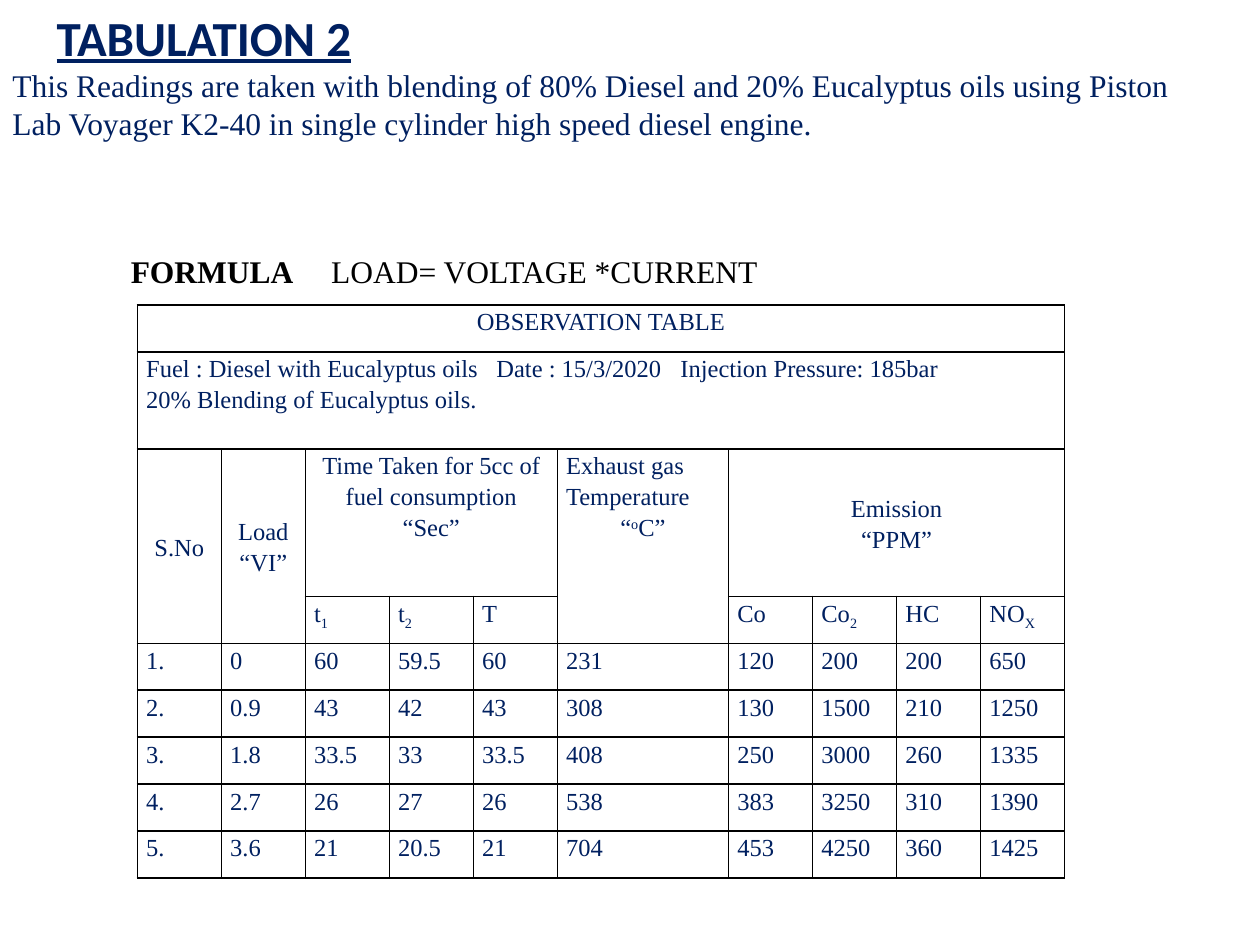
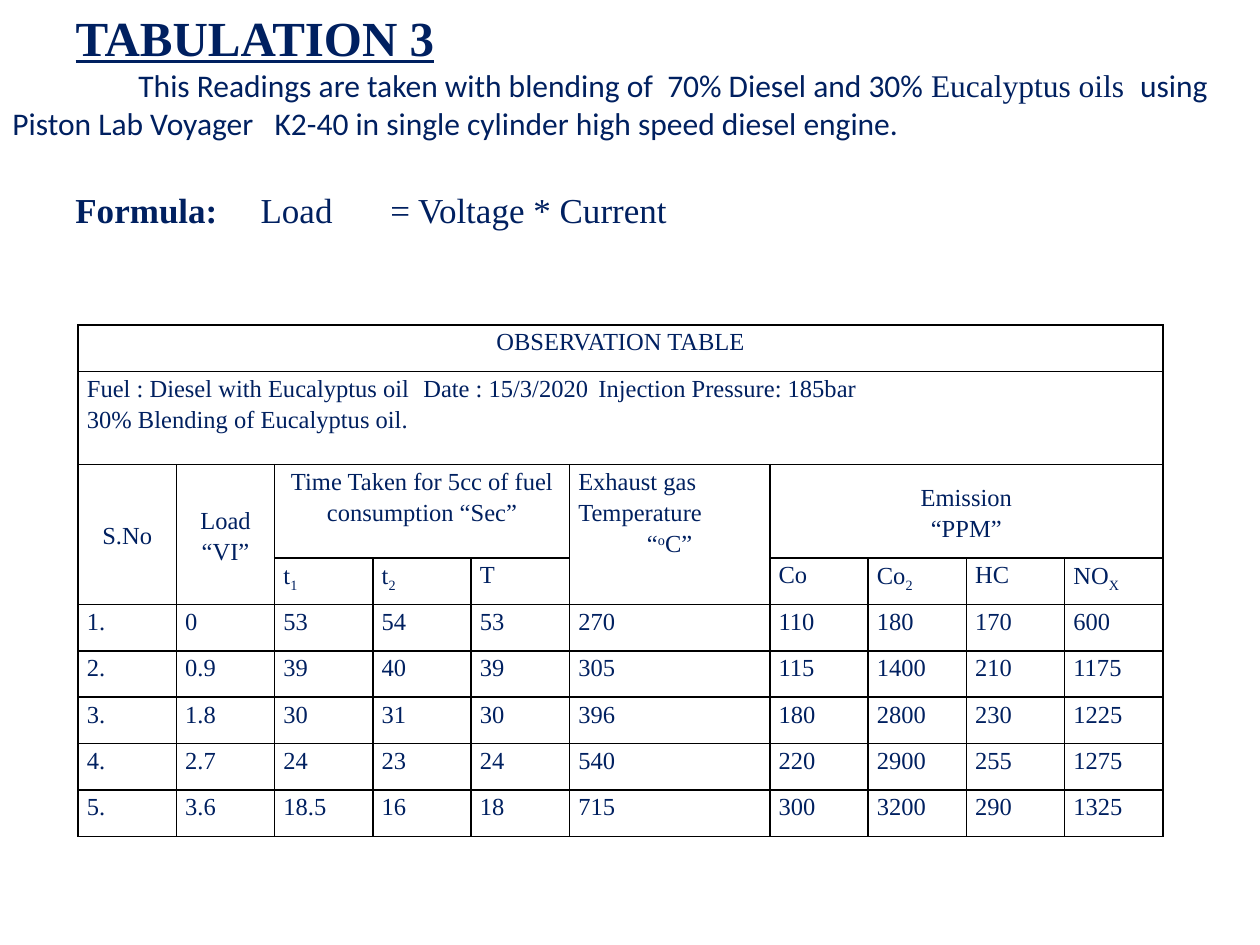
"""Build two slides of engine readings, each with a title, a formula and an observation table."""
from lxml.etree import SubElement
from pptx import Presentation
from pptx.dml.color import RGBColor
from pptx.enum.text import MSO_ANCHOR, PP_ALIGN
from pptx.oxml.ns import qn
from pptx.util import Inches, Pt

NAVY = RGBColor(0x00, 0x20, 0x60)
BLACK = RGBColor(0x00, 0x00, 0x00)
WHITE = RGBColor(0xFF, 0xFF, 0xFF)
SERIF, SANS = "Times New Roman", "Calibri"
ALIGNMENTS = {"l": PP_ALIGN.LEFT, "c": PP_ALIGN.CENTER}

SUBHEADS = ["", "", "t|1", "t|2", "T", "", "Co", "Co|2", "HC", "NO|X"]
LOADS = ["0", "0.9", "1.8", "2.7", "3.6"]
HEADERS = [
    (0, 0, 0, 9, "OBSERVATION TABLE", "c", MSO_ANCHOR.TOP),
    (2, 0, 3, 0, "S.No", "c", MSO_ANCHOR.MIDDLE),
    (2, 1, 3, 1, "Load\n“VI”", "cc", MSO_ANCHOR.MIDDLE),
    (2, 2, 2, 4, "Time Taken for 5cc of fuel consumption “Sec”", "c", MSO_ANCHOR.TOP),
    (2, 5, 3, 5, "Exhaust gas Temperature\n“|o|C”", "lc", MSO_ANCHOR.TOP),
    (2, 6, 2, 9, "Emission\n“PPM”", "cc", MSO_ANCHOR.MIDDLE),
]

TABULATIONS = [
    {
        "title": "TABULATION 2", "title_font": SANS, "title_left": 3.5,
        "intro": [("This Readings are taken with blending of 80% Diesel and 20% Eucalyptus oils "
                   "using Piston Lab Voyager K2-40 in single cylinder high speed diesel engine.",
                   SERIF)],
        "intro_indent": 0,
        "formula": ("FORMULA", "\tLOAD= VOLTAGE *CURRENT"),
        "formula_place": (9.4, 19.5), "formula_size": 18, "formula_color": BLACK,
        "formula_tabs": [1.59],
        "fuel": "Fuel : Diesel with Eucalyptus oils\tDate : 15/3/2020\tInjection Pressure: 185bar\n"
                "20% Blending of Eucalyptus oils.",
        "fuel_tabs": [2.78, 4.24],
        "table_box": (10.9, 24.2, 73.6, 45.5),
        "exhaust_width": 13.6, "fuel_height": 7.7, "header_height": 11.7,
        "readings": [
            ["60", "59.5", "60", "231", "120", "200", "200", "650"],
            ["43", "42", "43", "308", "130", "1500", "210", "1250"],
            ["33.5", "33", "33.5", "408", "250", "3000", "260", "1335"],
            ["26", "27", "26", "538", "383", "3250", "310", "1390"],
            ["21", "20.5", "21", "704", "453", "4250", "360", "1425"],
        ],
    },
    {
        "title": "TABULATION 3", "title_font": SERIF, "title_left": 5,
        "intro": [("This Readings are taken with blending of  70% Diesel and 30% ", SANS),
                  ("Eucalyptus oils  ", SERIF),
                  ("using Piston Lab Voyager   K2-40 in single cylinder high speed diesel engine.",
                   SANS)],
        "intro_indent": 1,
        "formula": ("Formula:", "\tLoad\t= Voltage * Current"),
        "formula_place": (5, 14.5), "formula_size": 20, "formula_color": NAVY,
        "formula_tabs": [1.47, 2.5],
        "fuel": "Fuel : Diesel with Eucalyptus oil\tDate : 15/3/2020\tInjection Pressure: 185bar\n"
                "30% Blending of Eucalyptus oil.",
        "fuel_tabs": [2.67, 4.06],
        "table_box": (6.2, 25.8, 86.1, 40.6),
        "exhaust_width": 15.9, "fuel_height": 7.4, "header_height": 7.4,
        "readings": [
            ["53", "54", "53", "270", "110", "180", "170", "600"],
            ["39", "40", "39", "305", "115", "1400", "210", "1175"],
            ["30", "31", "30", "396", "180", "2800", "230", "1225"],
            ["24", "23", "24", "540", "220", "2900", "255", "1275"],
            ["18.5", "16", "18", "715", "300", "3200", "290", "1325"],
        ],
    },
]


def add_run(paragraph, text, size, font_name=SERIF, color=NAVY, bold=False):
    run = paragraph.add_run()
    run.text = text
    run.font.size = Pt(size)
    run.font.name = font_name
    run.font.color.rgb = color
    run.font.bold = bold
    return run


def set_tabs(paragraph, stops):
    tab_list = SubElement(paragraph._p.get_or_add_pPr(), qn("a:tabLst"))
    for stop in stops:
        SubElement(tab_list, qn("a:tab"), pos=str(Inches(stop)), algn="l")


presentation = Presentation()
presentation.slide_width = Inches(10)
presentation.slide_height = Inches(7.5)
column = presentation.slide_width / 100
row = presentation.slide_height / 75

for tabulation in TABULATIONS:
    slide = presentation.slides.add_slide(presentation.slide_layouts[5])

    title = slide.shapes.title
    title.left, title.top = int(tabulation["title_left"] * column), 0
    title.width, title.height = int(60 * column), int(5.8 * row)
    title.text_frame.vertical_anchor = MSO_ANCHOR.MIDDLE
    paragraph = title.text_frame.paragraphs[0]
    paragraph.alignment = PP_ALIGN.LEFT
    run = add_run(paragraph, tabulation["title"], 28, tabulation["title_font"], bold=True)
    run.font.underline = True

    intro = slide.shapes.add_textbox(0, int(4.75 * row), int(97.5 * column), int(7 * row))
    intro.text_frame.word_wrap = True
    paragraph = intro.text_frame.paragraphs[0]
    paragraph._p.get_or_add_pPr().set("indent", str(Inches(tabulation["intro_indent"])))
    for text, font_name in tabulation["intro"]:
        add_run(paragraph, text, 18, font_name)

    left, top = tabulation["formula_place"]
    formula = slide.shapes.add_textbox(int(left * column), int(top * row),
                                       int(58.6 * column), int(4 * row))
    formula.text_frame.word_wrap = True
    paragraph = formula.text_frame.paragraphs[0]
    set_tabs(paragraph, tabulation["formula_tabs"])
    for text, bold in zip(tabulation["formula"], (True, False)):
        add_run(paragraph, text, tabulation["formula_size"],
                color=tabulation["formula_color"], bold=bold)

    left, top, width, height = tabulation["table_box"]
    table = slide.shapes.add_table(9, 10, int(left * column), int(top * row),
                                   int(width * column), int(height * row)).table
    table.first_row = table.horz_banding = False
    exhaust_width = tabulation["exhaust_width"]
    for index, table_column in enumerate(table.columns):
        share = exhaust_width if index == 5 else (width - exhaust_width) / 9
        table_column.width = int(share * column)
    tall_rows = {1: tabulation["fuel_height"], 2: tabulation["header_height"]}
    for index, table_row in enumerate(table.rows):
        share = tall_rows.get(index, (height - sum(tall_rows.values())) / 7)
        table_row.height = int(share * row)

    for cell in table.iter_cells():
        cell.margin_left = cell.margin_right = Inches(0.07)
        cell.margin_top = cell.margin_bottom = 0
        properties = cell._tc.get_or_add_tcPr()
        for side in ("a:lnL", "a:lnR", "a:lnT", "a:lnB"):
            line = SubElement(properties, qn(side), w=str(Pt(1)))
            SubElement(SubElement(line, qn("a:solidFill")), qn("a:srgbClr"), val=str(BLACK))
        cell.fill.solid()
        cell.fill.fore_color.rgb = WHITE

    entries = HEADERS + [(1, 0, 1, 9, tabulation["fuel"], "ll", MSO_ANCHOR.TOP)]
    body = [SUBHEADS]
    for number, (load, values) in enumerate(zip(LOADS, tabulation["readings"]), start=1):
        body.append([f"{number}.", load, *values])
    for row_index, texts in enumerate(body, start=3):
        for column_index, text in enumerate(texts):
            if text:
                entries.append((row_index, column_index, row_index, column_index,
                                text, "l", MSO_ANCHOR.TOP))

    for first_row, first_column, last_row, last_column, text, alignments, anchor in entries:
        cell = table.cell(first_row, first_column)
        if (first_row, first_column) != (last_row, last_column):
            cell.merge(table.cell(last_row, last_column))
        cell.vertical_anchor = anchor
        cell.text_frame.text = "\n" * text.count("\n")
        for paragraph, line, alignment in zip(cell.text_frame.paragraphs,
                                              text.split("\n"), alignments):
            paragraph.alignment = ALIGNMENTS[alignment]
            paragraph.line_spacing = 1.15
            if "\t" in line:
                set_tabs(paragraph, tabulation["fuel_tabs"])
            for index, piece in enumerate(line.split("|")):
                run = add_run(paragraph, piece, 14)
                if index % 2:
                    baseline = "30000" if piece == "o" else "-25000"
                    run._r.get_or_add_rPr().set("baseline", baseline)

presentation.save("out.pptx")
